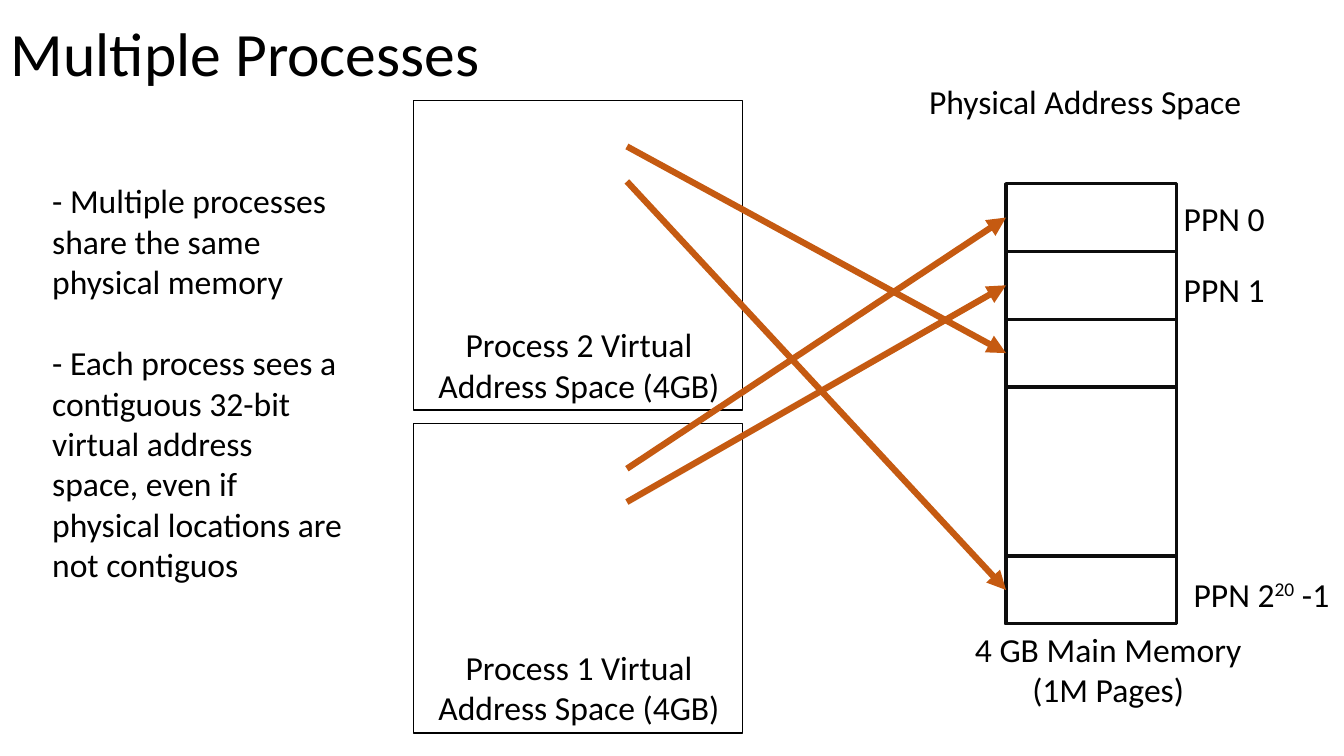
from dataclasses import dataclass

from lxml import etree
from pptx import Presentation
from pptx.dml.color import RGBColor
from pptx.enum.shapes import MSO_CONNECTOR, MSO_SHAPE
from pptx.enum.text import MSO_ANCHOR, PP_ALIGN
from pptx.oxml.ns import qn
from pptx.util import Pt

RECT = MSO_SHAPE.RECTANGLE
STRAIGHT = MSO_CONNECTOR.STRAIGHT
LEFT, CENTER = PP_ALIGN.LEFT, PP_ALIGN.CENTER
TOP, MIDDLE = MSO_ANCHOR.TOP, MSO_ANCHOR.MIDDLE
LEFT_SIDE = 1


@dataclass(frozen=True)
class Theme:
    font: str = "Calibri"
    title: int = 44
    body: int = 24
    ink: RGBColor = RGBColor(0, 0, 0)
    frame: RGBColor = RGBColor(0x0D, 0x0D, 0x0D)
    arrow: RGBColor = RGBColor(0xC5, 0x5A, 0x11)


THEME = Theme()
PAGE_LEFT, PAGE_TOP, PAGE_WIDTH, PAGE_HEIGHT = 718.6, 131.2, 121.7, 48.4
GAP_HEIGHT = 169.2


def add_text(s, box, paragraphs, size=THEME.body, align=CENTER, anchor=TOP,
             wrap=True, gap=0):
    sp = s.shapes.add_textbox(*map(Pt, box))
    tf = sp.text_frame
    tf.word_wrap = wrap
    tf.vertical_anchor = anchor
    for i, text in enumerate(paragraphs):
        p = tf.add_paragraph() if i else tf.paragraphs[0]
        p.text = text
        p.alignment = align
        if i:
            p.space_before = Pt(gap)
        p.font.size = Pt(size)
        p.font.name = THEME.font
        p.font.color.rgb = THEME.ink
    return tf


def add_superscript(p, power, rest):
    for text, baseline in ((power, "30000"), (rest, "0")):
        r = p.add_run()
        r.text = text
        r._r.get_or_add_rPr().set("baseline", baseline)


def add_box(s, box, color, width):
    sp = s.shapes.add_shape(RECT, *map(Pt, box))
    sp.shadow.inherit = False
    sp.fill.background()
    sp.line.color.rgb = color
    sp.line.width = Pt(width)
    return sp


def add_arrow(s, x, y, page):
    c = s.shapes.add_connector(STRAIGHT, Pt(x), Pt(y), Pt(x), Pt(y))
    c.end_connect(page, LEFT_SIDE)
    c.line.color.rgb = THEME.arrow
    c.line.width = Pt(4.5)
    etree.SubElement(c.line._get_or_add_ln(), qn("a:tailEnd"), type="triangle")
    etree.SubElement(c._element.spPr, qn("a:effectLst"))


def add_process(s, number, top):
    add_box(s, (295.2, top, 235.4, 221), THEME.ink, 1)
    add_text(s, (299.5, top + 156, 228.2, 66),
             [f"Process {number} Virtual Address Space (4GB)"])


def add_memory(s):
    tops = [PAGE_TOP + i * PAGE_HEIGHT for i in range(4)]
    last = tops[3] + GAP_HEIGHT - PAGE_HEIGHT
    rows = [(top, PAGE_HEIGHT) for top in tops[:3]]
    rows += [(tops[3], GAP_HEIGHT), (last, PAGE_HEIGHT)]
    return [add_box(s, (PAGE_LEFT, top, PAGE_WIDTH, height), THEME.frame, 2.25)
            for top, height in rows]


def main():
    prs = Presentation()
    prs.slide_width, prs.slide_height = Pt(960), Pt(540)
    s = prs.slides.add_slide(prs.slide_layouts[6])

    tf = add_text(s, (0.7, -11.5, 828, 104.4), ["Multiple Processes"],
                  THEME.title, LEFT, MIDDLE)
    tf.paragraphs[0].line_spacing = 0.9
    add_text(s, (30.2, 125.3, 223.2, 298),
             ["- Multiple processes share the same physical memory",
              "- Each process sees a contiguous 32-bit virtual address space, "
              "even if physical locations are not contiguos"],
             align=LEFT, gap=29.3)

    for number, top in ((2, 72), (1, 302.6)):
        add_process(s, number, top)

    pages = add_memory(s)
    add_text(s, (655.2, 54, 239.8, 36), ["Physical Address Space"], wrap=False)
    add_text(s, (688.3, 445.7, 206.6, 65.5),
             ["4 GB Main Memory", "(1M Pages)"], wrap=False)
    for number, top in enumerate((137.5, 188.9)):
        add_text(s, (838.1, top, 72.7, 36), [f"PPN {number}"], wrap=False)
    tf = add_text(s, (843.8, 406.1, 114.5, 36), ["PPN 2"], wrap=False)
    add_superscript(tf.paragraphs[0], "20", " -1")

    for y, page in ((358.6, 1), (129.6, 4), (104.6, 2), (334.8, 0)):
        add_arrow(s, 447.8, y, pages[page])

    prs.save("out.pptx")


if __name__ == "__main__":
    main()
